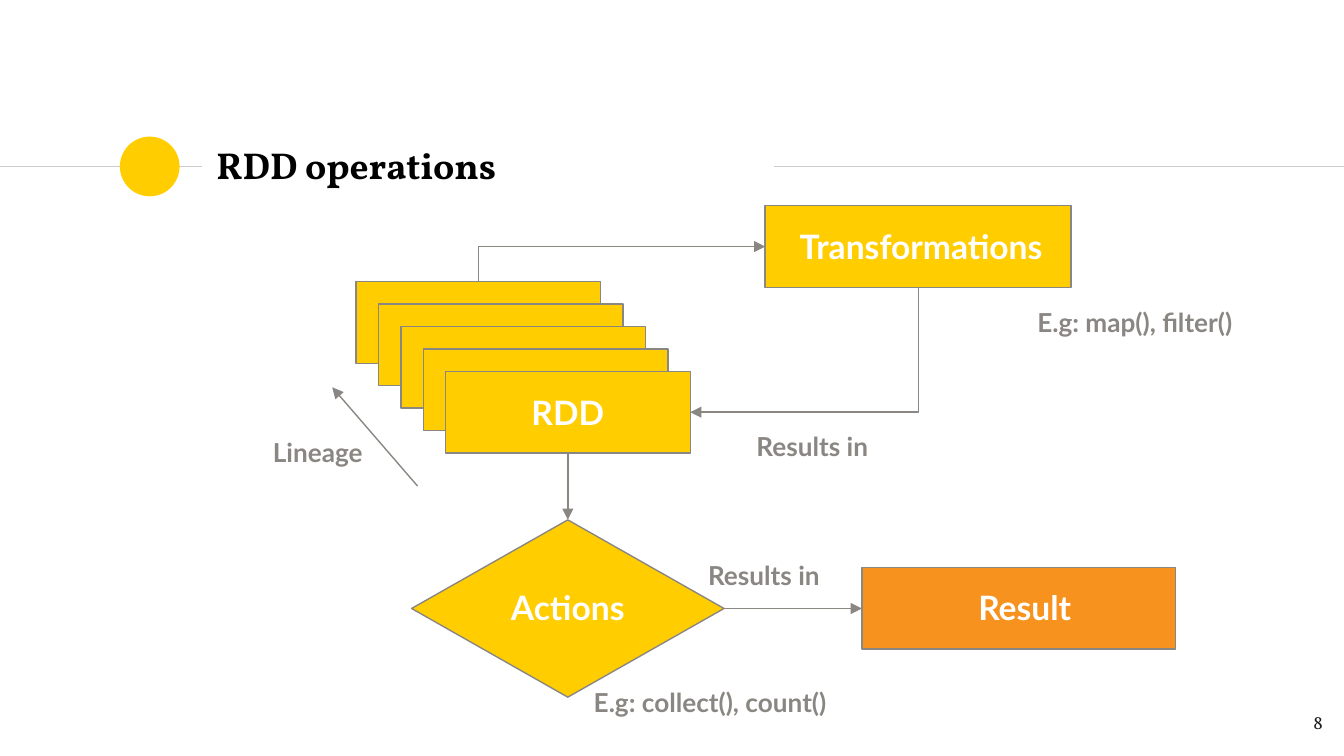
import dataclasses

import pptx
import pptx.dml.color
import pptx.enum.shapes
import pptx.enum.text
import pptx.oxml.ns
import pptx.util
from lxml import etree

Pt = pptx.util.Pt
Kind = pptx.enum.shapes.MSO_SHAPE
Link = pptx.enum.shapes.MSO_CONNECTOR
Align = pptx.enum.text.PP_ALIGN
Anchor = pptx.enum.text.MSO_ANCHOR
Fit = pptx.enum.text.MSO_AUTO_SIZE


@dataclasses.dataclass(frozen=True)
class Theme:
    """Colours, fonts and type sizes of the deck."""
    yellow: str = "FFCD00"
    orange: str = "F6921D"
    grey: str = "8A8682"
    rule: str = "CCCCCC"
    white: str = "FFFFFF"
    black: str = "000000"
    ink: str = "1D1D1B"
    heading_font: str = "Vollkorn"
    body_font: str = "Lato"
    title_size: int = 20
    node_size: int = 18
    note_size: int = 14
    number_size: int = 10
    line_width: float = 0.75


THEME = Theme()


def rgb(code):
    """Turn a hex code into a colour."""
    return pptx.dml.color.RGBColor.from_string(code)


def write(box, text, size, color, font=THEME.body_font, bold=True,
          align=Align.CENTER, anchor=Anchor.TOP, fit=Fit.SHAPE_TO_FIT_TEXT):
    """Set one styled line of text in a box."""
    frame = box.text_frame
    frame.word_wrap = True
    frame.auto_size = fit
    frame.vertical_anchor = anchor
    frame.margin_left = frame.margin_right = Pt(7.2)
    frame.margin_top = frame.margin_bottom = Pt(7.2)
    para = frame.paragraphs[0]
    para.alignment = align
    span = para.add_run()
    span.text = text
    span.font.name = font
    span.font.size = Pt(size)
    span.font.bold = bold
    span.font.color.rgb = rgb(color)


def add_label(page, place, text, size, color, **style):
    """Add a text box holding one line."""
    box = page.shapes.add_textbox(*map(Pt, place))
    write(box, text, size, color, **style)


def add_block(page, kind, place, fill, outlined=True):
    """Add a filled shape, outlined in grey unless told otherwise."""
    block = page.shapes.add_shape(kind, *map(Pt, place))
    block.shadow.inherit = False
    block.fill.solid()
    block.fill.fore_color.rgb = rgb(fill)
    if outlined:
        block.line.color.rgb = rgb(THEME.grey)
        block.line.width = Pt(THEME.line_width)
    else:
        block.line.fill.background()


def add_line(page, start, end, color=THEME.grey, arrow=True, kind=Link.STRAIGHT):
    """Add a thin connector, with an arrowhead at its end if wanted."""
    line = page.shapes.add_connector(kind, *map(Pt, (*start, *end)))
    line.line.color.rgb = rgb(color)
    line.line.width = Pt(THEME.line_width)
    name = pptx.oxml.ns.qn
    properties = line._element.spPr
    if arrow:
        etree.SubElement(properties.find(name("a:ln")), name("a:tailEnd"), type="triangle")
    etree.SubElement(properties, name("a:effectLst"))
    return line


def add_elbow(page, start, end):
    """Add an arrow that leaves vertically and arrives horizontally."""
    across, down = end[0] - start[0], end[1] - start[1]
    width, height = abs(down), abs(across)
    left = (start[0] + end[0] - width) / 2
    top = (start[1] + end[1] - height) / 2
    line = add_line(page, (left, top), (left + width, top + height), kind=Link.ELBOW)
    name = pptx.oxml.ns.qn
    properties = line._element.spPr
    properties.find(name("a:prstGeom")).set("prst", "bentConnector2")
    turn = 270 if across > 0 else 90
    properties.find(name("a:xfrm")).set("rot", str(turn * 60000))


def add_header(page):
    """Add the rules, the dot and the title."""
    middle = 89.2
    add_line(page, (0, middle), (108, middle), THEME.rule, arrow=False)
    add_block(page, Kind.OVAL, (64.2, middle - 16, 32, 32), THEME.yellow, outlined=False)
    add_line(page, (414.7, middle), (720, middle), THEME.rule, arrow=False)
    title = page.shapes.title
    title.left, title.top, title.width, title.height = map(Pt, (108.7, 70.6, 305.3, 34.6))
    write(title, "RDD operations", THEME.title_size, THEME.black, THEME.heading_font,
          align=Align.LEFT, anchor=Anchor.MIDDLE, fit=Fit.NONE)


def add_nodes(page):
    """Add the stack of data sets and the three other nodes."""
    tall, step = 43.8, 12
    for index in range(5):
        place = (190.8 + index * step, 150.9 + index * step, 131, tall)
        add_block(page, Kind.RECTANGLE, place, THEME.yellow)
    add_label(page, (247.7, 203, 113, 36), "RDD", THEME.node_size, THEME.white)
    nodes = [
        ("Transformations", Kind.RECTANGLE, (409.9, 110.2, 164, tall), THEME.yellow, (419, 113.8)),
        ("Actions", Kind.FLOWCHART_DECISION, (220.5, 278.5, 167.4, 95), THEME.yellow, (229.7, 307.4)),
        ("Result", Kind.RECTANGLE, (461.7, 304, 168, tall), THEME.orange, (474.5, 307.4)),
    ]
    for text, kind, place, fill, corner in nodes:
        add_block(page, kind, place, fill)
        add_label(page, (*corner, 149, 36), text, THEME.node_size, THEME.white)


def add_flow(page):
    """Add the arrows between the nodes and the notes beside them."""
    add_line(page, (223.7, 260.4), (178, 207.5))
    add_elbow(page, (256.3, 150.9), (409.9, 132.1))
    add_elbow(page, (491.9, 154), (369.8, 220.8))
    add_line(page, (304.2, 242.7), (304.2, 278.5))
    add_line(page, (387.9, 326), (461.7, 326))
    notes = [
        ("Lineage", (113.8, 226.8, 113), Align.CENTER),
        ("Results in", (378.7, 223.2, 113), Align.CENTER),
        ("Results in", (352.8, 292.3, 113), Align.CENTER),
        ("E.g: map(), filter()", (548.6, 157, 131), Align.LEFT),
        ("E.g: collect(), count()", (311, 360.7, 181.4), Align.LEFT),
    ]
    for text, place, align in notes:
        add_label(page, (*place, 31.7), text, THEME.note_size, THEME.grey, align=align)


def main():
    """Build and save the deck."""
    deck = pptx.Presentation()
    deck.slide_width, deck.slide_height = Pt(720), Pt(405)
    page = deck.slides.add_slide(deck.slide_layouts[5])
    add_header(page)
    add_nodes(page)
    add_flow(page)
    add_label(page, (672.5, 373.7, 43.2, 31), "8", THEME.number_size, THEME.ink,
              font=THEME.heading_font, bold=False, align=Align.RIGHT, fit=Fit.NONE)
    deck.save("out.pptx")


if __name__ == "__main__":
    main()
